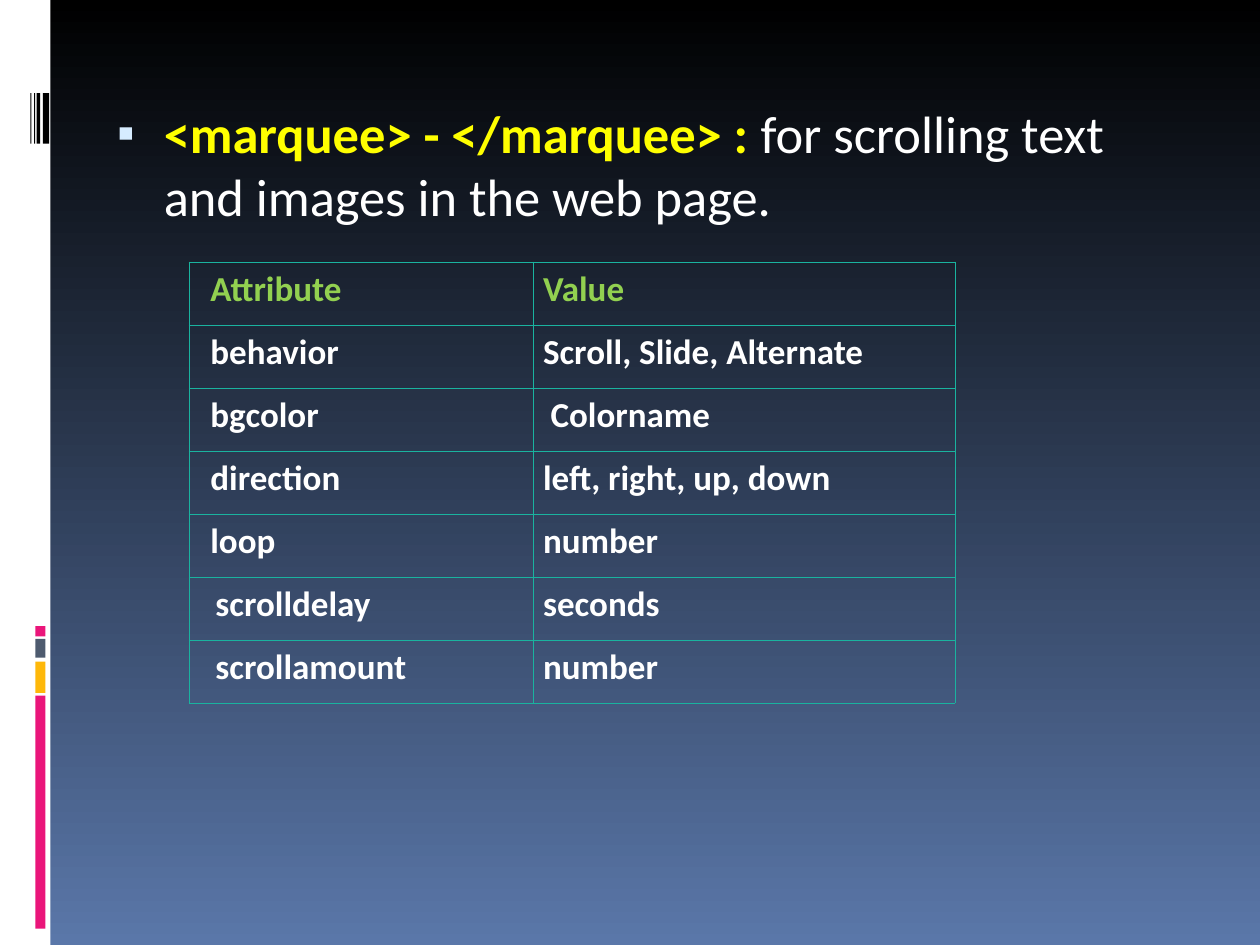
"""Build the marquee tag slide with its table of attributes."""
import pptx
import pptx.dml.color
import pptx.enum.shapes
import pptx.oxml
import pptx.oxml.ns
import pptx.util
from pptx.util import Inches, Pt

WIDTH, HEIGHT = 10, 7.5
BACKGROUND = ("000000", "5A77A9")
SIDEBAR = (0, 0, 0.4, HEIGHT, "FFFFFF")
STRIPES = [(5.52, 1.85, "EA157A"), (5.25, 0.25, "FEB80A"),
           (5.07, 0.15, "4E5B6F"), (4.97, 0.08, "EA157A")]
BARCODE = [(0.34, 0.05), (0.29, 0.03), (0.27, 0.01), (0.24, 0.01)]
BANDS = ([SIDEBAR]
         + [(0.28, top, 0.08, height, color) for top, height, color in STRIPES]
         + [(left, 0.74, width, 0.4, "000000") for left, width in BARCODE])

DEFINITION = [
    ("<marquee> - </marquee> : ", {"bold": True, "color": "FFFF00"}),
    ("for scrolling text and images in the web page.", {"bold": False, "color": "FFFFFF"}),
]
ATTRIBUTES = [
    ("Attribute", "Value"),
    ("behavior", "Scroll, Slide, Alternate"),
    ("bgcolor", "Colorname"),
    ("direction", "left, right, up, down"),
    ("loop", "number"),
    ("scrolldelay", "seconds"),
    ("scrollamount", "number"),
]
COLUMNS = (2.73, 3.35)
ROW = 0.5
COLUMN_INSETS = (0.17, 0.08)
WIDER_INSETS = {"Colorname": 0.14, "scrolldelay": 0.21, "scrollamount": 0.21}
NAMESPACE = pptx.oxml.ns.nsdecls("a")


def rgb(color):
    return pptx.dml.color.RGBColor.from_string(color)


def write_run(paragraph, text, size, bold, color):
    run = paragraph.add_run()
    run.text = text
    for key, value in {"name": "Calibri", "size": Pt(size), "bold": bold}.items():
        setattr(run.font, key, value)
    run.font.color.rgb = rgb(color)


def append_xml(parent, *fragments):
    for tag, rest in fragments:
        parent.append(pptx.oxml.parse_xml(f"<a:{tag} {NAMESPACE} {rest}"))


def paint_background(slide):
    fill = slide.background.fill
    fill.gradient()
    fill.gradient_angle = 270
    for stop, color, position in zip(fill.gradient_stops, BACKGROUND, (0, 1)):
        stop.color.rgb = rgb(color)
        stop.position = position


def add_band(slide, left, top, width, height, color):
    band = slide.shapes.add_shape(pptx.enum.shapes.MSO_SHAPE.RECTANGLE,
                                  *map(Inches, (left, top, width, height)))
    band.shadow.inherit = False
    band.fill.solid()
    band.fill.fore_color.rgb = rgb(color)
    band.line.fill.background()


def write_definition(body):
    place = {"left": 0.75, "top": 0.75, "width": 8.75, "height": 6.2}
    for key, value in place.items():
        setattr(body, key, Inches(value))
    paragraph = body.text_frame.paragraphs[0]
    properties = paragraph._p.get_or_add_pPr()
    properties.set("marL", str(Inches(0.45)))
    properties.set("indent", str(Inches(-0.37)))
    append_xml(properties,
               ("buClr", '><a:srgbClr val="D6ECFF"/></a:buClr>'),
               ("buSzPct", 'val="95000"/>'),
               ("buFont", 'typeface="Arial"/>'),
               ("buChar", 'char="▪"/>'))
    paragraph.space_before = Pt(0)
    for text, style in DEFINITION:
        write_run(paragraph, text, 30, **style)


def fill_cell(cell, text, inset, color):
    margins = {"margin_left": inset, "margin_right": 0.08,
               "margin_top": 0.05, "margin_bottom": 0.05}
    for key, value in margins.items():
        setattr(cell, key, Inches(value))
    border = (f'w="{Pt(0.45)}"><a:solidFill><a:srgbClr val="1AB39F"/></a:solidFill>')
    append_xml(cell._tc.get_or_add_tcPr(),
               *((f"ln{side}", f"{border}</a:ln{side}>") for side in "LRTB"))
    cell.fill.background()
    write_run(cell.text_frame.paragraphs[0], text, 20, True, color)


def add_attributes(slide):
    table = slide.shapes.add_table(
        len(ATTRIBUTES), len(COLUMNS), Inches(1.5), Inches(2.08),
        Inches(sum(COLUMNS)), Inches(ROW * len(ATTRIBUTES))).table
    table.first_row = table.horz_banding = False
    for column, width in zip(table.columns, COLUMNS):
        column.width = Inches(width)
    for r, entry in enumerate(ATTRIBUTES):
        table.rows[r].height = Inches(ROW)
        for c, text in enumerate(entry):
            inset = WIDER_INSETS.get(text, COLUMN_INSETS[c])
            fill_cell(table.cell(r, c), text, inset, "FFFFFF" if r else "92D050")


def main():
    deck = pptx.Presentation()
    deck.slide_width, deck.slide_height = Inches(WIDTH), Inches(HEIGHT)
    slide = deck.slides.add_slide(deck.slide_layouts[1])
    title, body = slide.placeholders
    title.element.getparent().remove(title.element)
    paint_background(slide)
    for band in BANDS:
        add_band(slide, *band)
    write_definition(body)
    add_attributes(slide)
    deck.save("out.pptx")


if __name__ == "__main__":
    main()
